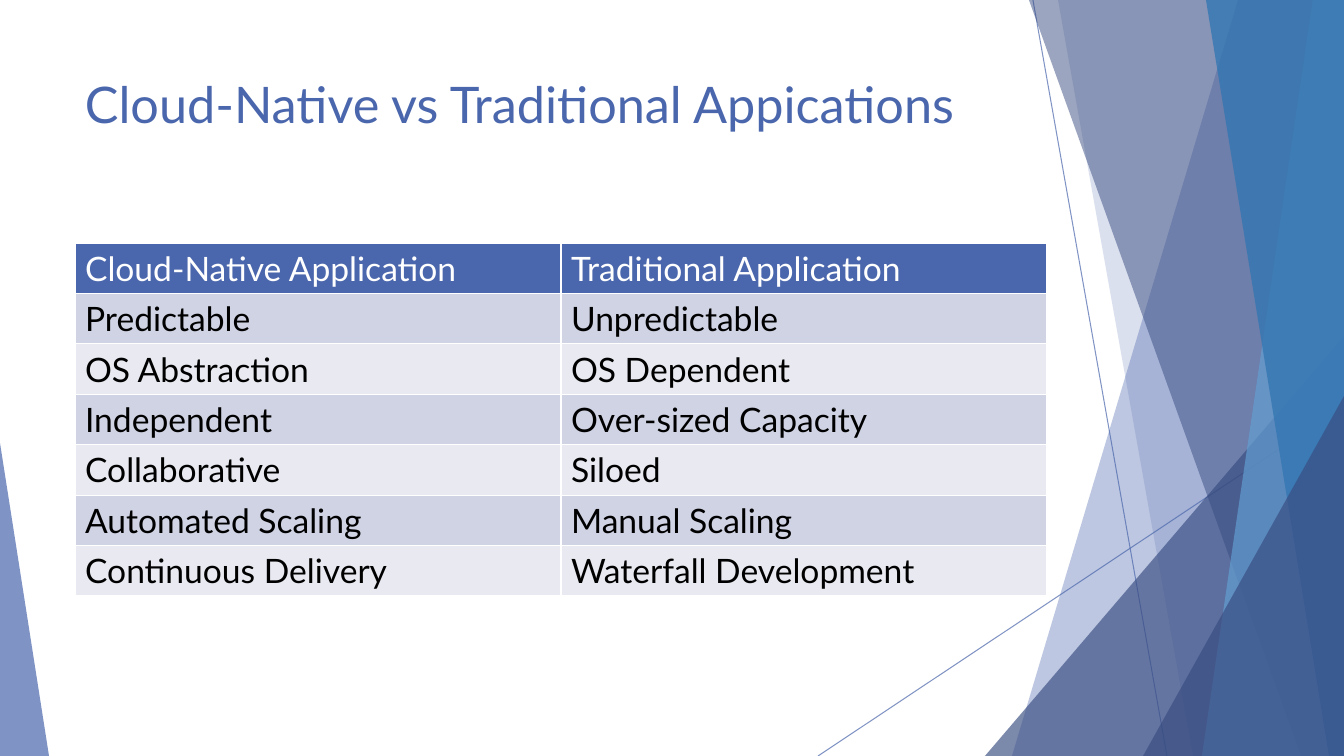
from dataclasses import dataclass

from pptx import Presentation
from pptx.dml.color import RGBColor
from pptx.enum.shapes import MSO_CONNECTOR as Link, MSO_SHAPE as Form
from pptx.enum.text import MSO_ANCHOR as Anchor
from pptx.oxml.ns import qn
from pptx.util import Emu, Pt
from lxml.etree import SubElement as Sub

SCALE = 12192000 / 1344  # EMU in one px
FONT = "Lato"
BLUE, NAVY, SKY, STEEL = "4A66AC", "384C81", "629DD1", "3477B2"
WHITE, BLACK = "FFFFFF", "000000"
BANDS = ("E9EAF1", "D0D3E3")


@dataclass
class Ray:
    start: tuple[int, int]
    end: tuple[int, int]


@dataclass
class Facet:
    """Four-sided area from the top to the bottom of the slide."""
    top: int
    foot: int
    color: str
    alpha: int


@dataclass
class Wedge:
    """Triangle on the bottom edge, with its tip at one side."""
    left: int
    top: int
    width: int
    tip: int
    color: str
    alpha: int


RAYS = [Ray((1033, 0), (1167, 756)), Ray((1344, 406), (818, 756))]
PARTS = [
    Facet(1238, 1012, BLUE, 36),
    Facet(1058, 1193, BLUE, 20),
    Wedge(985, 336, 359, 1, NAVY, 66),
    Facet(1029, 1301, NAVY, 50),
    Facet(1313, 1202, SKY, 70),
    Facet(1206, 1329, STEEL, 80),
    Wedge(1143, 396, 201, 1, NAVY, 66),
    Wedge(0, 443, 49, 0, BLUE, 70),
]
ROWS = [
    ("Cloud-Native Application", "Traditional Application"),
    ("Predictable", "Unpredictable"),
    ("OS Abstraction", "OS Dependent"),
    ("Independent", "Over-sized Capacity"),
    ("Collaborative", "Siloed"),
    ("Automated Scaling", "Manual Scaling"),
    ("Continuous Delivery", "Waterfall Development"),
]


def px(n: int) -> Emu:
    return Emu(round(n * SCALE))


def rgb(color: str) -> RGBColor:
    return RGBColor.from_string(color)


def paint(fill, color: str) -> None:
    fill.solid()
    fill.fore_color.rgb = rgb(color)


def fade(shape, alpha: int) -> None:
    node = next(shape._element.spPr.iter(qn("a:srgbClr")))
    Sub(node, qn("a:alpha"), val=str(alpha * 1000))


def add_run(para, text: str, size: int, color: str) -> None:
    run = para.add_run()
    run.text = text
    font = run.font
    font.name, font.size, font.bold = FONT, Pt(size), False
    font.color.rgb = rgb(color)


def add_ray(shapes, ray: Ray) -> None:
    line = shapes.add_connector(Link.STRAIGHT, *map(px, ray.start + ray.end))
    line.line.color.rgb = rgb(BLUE)
    line.line.width = Pt(0.75)
    fade(line, 70)
    Sub(line._element.spPr, qn("a:effectLst"))


def add_part(shapes, part: Facet | Wedge) -> None:
    if isinstance(part, Facet):
        pen = shapes.build_freeform(part.top, 0, scale=SCALE)
        pen.add_line_segments([(1344, 0), (1344, 756), (part.foot, 756)])
        shape = pen.convert_to_shape()
    else:
        box = (part.left, part.top, part.width, 756 - part.top)
        shape = shapes.add_shape(Form.ISOSCELES_TRIANGLE, *map(px, box))
        shape.adjustments[0] = part.tip
    shape.shadow.inherit = False
    shape.line.fill.background()
    paint(shape.fill, part.color)
    fade(shape, part.alpha)


def add_title(shapes, text: str) -> None:
    frame = shapes.add_textbox(px(75), px(68), px(948), px(145)).text_frame
    frame.word_wrap = True
    frame.vertical_anchor = Anchor.TOP
    add_run(frame.paragraphs[0], text, 36, BLUE)


def add_edges(cell) -> None:
    props = cell._tc.get_or_add_tcPr()
    for side in "LRTB":
        edge = Sub(props, qn(f"a:ln{side}"), w=str(Pt(1)))
        Sub(Sub(edge, qn("a:solidFill")), qn("a:srgbClr"), val=WHITE)


def add_grid(shapes, rows: list[tuple[str, str]]) -> None:
    size = (75, 243, 972, 50 * len(rows))
    grid = shapes.add_table(len(rows), 2, *map(px, size)).table
    for i, row in enumerate(rows):
        for j, text in enumerate(row):
            cell = grid.cell(i, j)
            add_edges(cell)
            paint(cell.fill, BANDS[i % 2] if i else BLUE)
            para = cell.text_frame.paragraphs[0]
            add_run(para, text, 24, BLACK if i else WHITE)


def main() -> None:
    deck = Presentation()
    deck.slide_width, deck.slide_height = px(1344), px(756)
    shapes = deck.slides.add_slide(deck.slide_layouts[6]).shapes

    # Backdrop
    for ray in RAYS:
        add_ray(shapes, ray)
    for part in PARTS:
        add_part(shapes, part)

    # Content
    add_title(shapes, "Cloud-Native vs Traditional Appications")
    add_grid(shapes, ROWS)
    deck.save("out.pptx")


if __name__ == "__main__":
    main()
